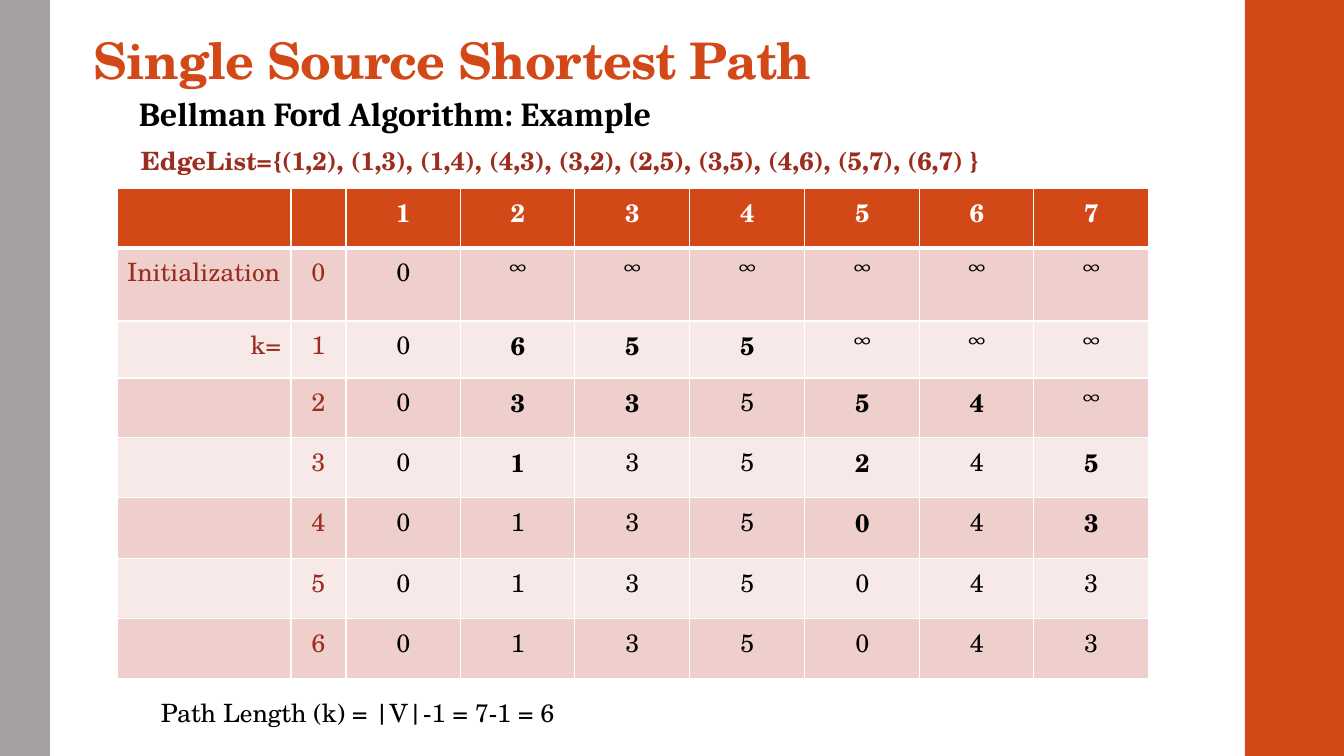
from pptx import Presentation
from pptx.dml.color import RGBColor
from pptx.enum.shapes import MSO_SHAPE as SHAPE
from pptx.enum.text import MSO_ANCHOR as ANCHOR, PP_ALIGN as ALIGN
from pptx.oxml import parse_xml
from pptx.oxml.ns import nsdecls
from pptx.util import Pt

PX = 914400 / 100.8
SERIF, BODY = "TeX Gyre Schola", "Cambria"
ORANGE, RED, BLACK, WHITE = "D34817", "9B2D1F", "000000", "FFFFFF"


def px(*lengths):
    return [round(length * PX) for length in lengths]


def write(paragraph, text, size, font, color, bold=False):
    run = paragraph.add_run()
    run.text = text
    for name, value in {"size": Pt(size), "name": font, "bold": bold}.items():
        setattr(run.font, name, value)
    run.font.color.rgb = RGBColor.from_string(color)
    return run


presentation = Presentation()
presentation.slide_width, presentation.slide_height = px(1344, 756)
slide = presentation.slides.add_slide(presentation.slide_layouts[6])

# Side bands
for left, width, color in [(1245, 99, ORANGE), (0, 50, "A6A1A1")]:
    band = slide.shapes.add_shape(SHAPE.RECTANGLE, *px(left, 0, width, 756))
    band.shadow.inherit = False
    band.fill.solid()
    band.fill.fore_color.rgb = RGBColor.from_string(color)
    band.line.fill.background()

# Title
title = slide.shapes.add_textbox(*px(84, 14, 1124, 81))
frame = title.text_frame
for name, value in {"word_wrap": True, "vertical_anchor": ANCHOR.BOTTOM,
                    "margin_top": Pt(2), "margin_bottom": Pt(3.6)}.items():
    setattr(frame, name, value)
frame.paragraphs[0].line_spacing = 0.9
run = write(frame.paragraphs[0], "Single Source Shortest Path", 36, SERIF, ORANGE, True)
run.font._element.set("spc", "-50")

# Subtitle, edge list and path length
lines = [
    (129, 96, 1094, 47, "Bellman Ford Algorithm: Example", 24, BODY, BLACK, True, 0.8),
    (131, 140, 959, 40,
     "EdgeList={(1,2), (1,3), (1,4), (4,3), (3,2), (2,5), (3,5), (4,6), (5,7), (6,7) }",
     18, SERIF, RED, True, 1.0),
    (151, 692, 1033, 40, "Path Length (k) = |V|-1 = 7-1 = 6", 18, SERIF, BLACK, False, 1.0),
]
for left, top, width, height, text, size, font, color, bold, spacing in lines:
    box = slide.shapes.add_textbox(*px(left, top, width, height))
    box.text_frame.word_wrap = True
    paragraph = box.text_frame.paragraphs[0]
    paragraph.line_spacing = spacing
    write(paragraph, text, size, font, color, bold)

# Distance table
distances = [
    ["", "", "1", "2", "3", "4", "5", "6", "7"],
    ["Initialization", "0", "0", "∞", "∞", "∞", "∞", "∞", "∞"],
    ["k=", "1", "0", "6", "5", "5", "∞", "∞", "∞"],
    ["", "2", "0", "3", "3", "5", "5", "4", "∞"],
    ["", "3", "0", "1", "3", "5", "2", "4", "5"],
    ["", "4", "0", "1", "3", "5", "0", "4", "3"],
    ["", "5", "0", "1", "3", "5", "0", "4", "3"],
    ["", "6", "0", "1", "3", "5", "0", "4", "3"],
]
column_edges = [117, 291] + [346 + round(i * 803 / 7) for i in range(8)]
row_edges = [188, 248, 321] + [378 + round(i * 301 / 5) for i in range(6)]
table = slide.shapes.add_table(
    8, 9, *px(117, 188, column_edges[-1] - 117, row_edges[-1] - 188)).table
for column, start, end in zip(table.columns, column_edges, column_edges[1:]):
    column.width = px(end - start)[0]
for row, start, end in zip(table.rows, row_edges, row_edges[1:]):
    row.height = px(end - start)[0]

for r, values in enumerate(distances):
    fill = ORANGE if r == 0 else ("EFCFCC" if r % 2 else "F7E9E8")
    for c, text in enumerate(values):
        cell = table.cell(r, c)
        # White borders, heavier below the header
        for side in "LRTB":
            heavy = (r, side) in [(0, "B"), (1, "T")]
            cell._tc.get_or_add_tcPr().append(parse_xml(
                f'<a:ln{side} {nsdecls("a")} w="{Pt(3 if heavy else 1)}"><a:solidFill>'
                f'<a:srgbClr val="{WHITE}"/></a:solidFill></a:ln{side}>'))
        cell.fill.solid()
        cell.fill.fore_color.rgb = RGBColor.from_string(fill)
        if not text:
            continue
        paragraph = cell.text_frame.paragraphs[0]
        paragraph.alignment = ALIGN.CENTER
        if c == 0:
            paragraph.alignment = ALIGN.RIGHT if text == "k=" else ALIGN.LEFT
        # A distance is bold when it has just changed
        changed = r > 1 and c > 1 and text != distances[r - 1][c]
        color = WHITE if r == 0 else (RED if c < 2 else BLACK)
        write(paragraph, text, 18, BODY if text == "∞" else SERIF, color, r == 0 or changed)

presentation.save("out.pptx")
